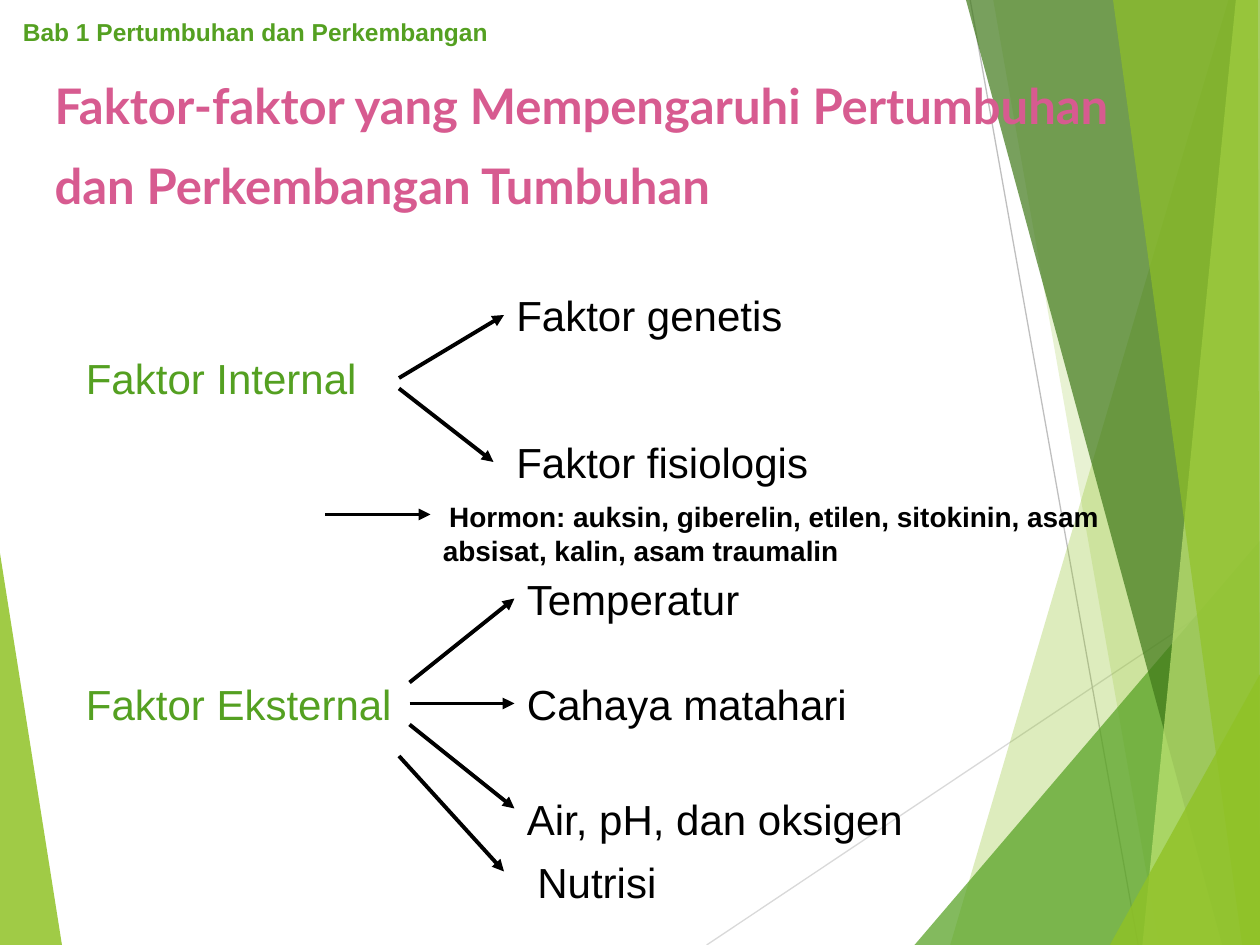
from lxml.etree import SubElement
from pptx import Presentation
from pptx.dml.color import RGBColor
from pptx.enum.shapes import MSO_CONNECTOR as CONNECTOR
from pptx.enum.text import MSO_ANCHOR as ANCHOR, MSO_AUTO_SIZE as AUTO_SIZE, PP_ALIGN as ALIGN
from pptx.oxml.ns import qn
from pptx.util import Pt

PX = 7620
WIDTH, HEIGHT = 1200, 900
GREEN, LIME, PINK, BLACK = "54A021", "90C226", "D75B90", "000000"
LEFT_SIDE = 1

LEFT_WEDGE = [(0, 527), (59, 900), (0, 900)]
THIN_LINES = [((673, 900), (1200, 548), "D9D9D9"), ((924, 0), (1084, 900), "BFBFBF")]
RIGHT_FACETS = [
    ([(1170, 0), (905, 900), (1200, 900), (1200, 0)], LIME, 30),
    ([(946, 0), (1104, 900), (1200, 900), (1200, 0)], LIME, 20),
    ([(871, 900), (1200, 515), (1200, 900)], GREEN, 72),
    ([(920, 0), (1164, 900), (1200, 900), (1200, 0)], "3F7819", 70),
    ([(1177, 0), (1088, 900), (1200, 900), (1200, 0)], "C0E474", 70),
    ([(1060, 0), (1183, 900), (1200, 900), (1198, 0)], LIME, 65),
    ([(1057, 900), (1200, 642), (1200, 900)], LIME, 80),
]
GROUPS = [("Faktor Internal", 70, 330, 300), ("Faktor Eksternal", 70, 640, 330)]
# Each factor: text, left, top, width, arrow start, arrow end (None joins the box side)
FACTORS = [
    ("Faktor genetis", 480, 270, 300, (380, 360), None),
    ("Faktor fisiologis", 480, 410, 360, (380, 370), (470, 440)),
    ("Temperatur", 490, 540, 240, (390, 650), None),
    ("Cahaya matahari", 490, 640, 330, (390, 670), None),
    ("Air, pH, dan oksigen", 490, 750, 400, (390, 690), (490, 770)),
    ("Nutrisi", 500, 810, 400, (380, 720), (480, 830)),
]


def rgb(value):
    """Turn a hex string into a colour."""
    return RGBColor.from_string(value)


def write(paragraph, text, size=24, color=BLACK, bold=False, font="Arial"):
    """Add a formatted run to a paragraph."""
    run = paragraph.add_run()
    run.text = text
    run.font.name, run.font.size, run.font.bold = font, Pt(size), bold
    run.font.color.rgb = rgb(color)


class SlideBuilder:
    """Hold the current slide and draw its elements in px."""

    def __init__(self, slide):
        """Keep the slide to draw on."""
        self.slide = slide
        self.shapes = slide.shapes

    def facet(self, points, color, opacity):
        """Draw a translucent polygon."""
        builder = self.shapes.build_freeform(*points[0], scale=PX)
        builder.add_line_segments(points[1:], close=True)
        shape = builder.convert_to_shape()
        shape.shadow.inherit = False
        shape.line.fill.background()
        shape.fill.solid()
        shape.fill.fore_color.rgb = rgb(color)
        color_element = shape._element.spPr.find(".//" + qn("a:srgbClr"))
        SubElement(color_element, qn("a:alpha"), val=str(opacity * 1000))

    def line(self, start, end, color=BLACK, width=2.25, arrow=False, target=None):
        """Draw a line, optionally with an arrowhead or joined to a box."""
        ends = [value * PX for value in (*start, *end)]
        connector = self.shapes.add_connector(CONNECTOR.STRAIGHT, *ends)
        connector.line.color.rgb = rgb(color)
        connector.line.width = Pt(width)
        if arrow:
            SubElement(connector.line._get_or_add_ln(), qn("a:tailEnd"), type="triangle")
        SubElement(connector._element.spPr, qn("a:effectLst"))
        if target is not None:
            connector.end_connect(target, LEFT_SIDE)

    def label(self, text, left, top, width, height=60, margin=0, indent=0, **style):
        """Add a wrapped text box."""
        box = self.shapes.add_textbox(left * PX, top * PX, width * PX, height * PX)
        frame = box.text_frame
        frame.word_wrap = True
        frame.auto_size = AUTO_SIZE.SHAPE_TO_FIT_TEXT
        paragraph = frame.paragraphs[0]
        if margin:
            properties = paragraph._p.get_or_add_pPr()
            properties.set("marL", str(margin * PX))
            properties.set("indent", str(indent * PX))
        write(paragraph, text, **style)
        return box

    def title(self, text, left, top, width, height):
        """Place the title in front of what is already drawn."""
        title = self.shapes.title
        title.left, title.top = left * PX, top * PX
        title.width, title.height = width * PX, height * PX
        title._element.getparent().append(title._element)
        frame = title.text_frame
        frame.word_wrap = True
        frame.auto_size = AUTO_SIZE.NONE
        frame.vertical_anchor = ANCHOR.TOP
        paragraph = frame.paragraphs[0]
        paragraph.alignment = ALIGN.LEFT
        write(paragraph, text, size=28, color=PINK, bold=True, font="Lato")
        write(paragraph, " ", size=40, color=LIME, font="Lato")


def main():
    """Build the slide and save it."""
    presentation = Presentation()
    presentation.slide_width, presentation.slide_height = WIDTH * PX, HEIGHT * PX
    slide = presentation.slides.add_slide(presentation.slide_layouts[5])
    builder = SlideBuilder(slide)

    builder.facet(LEFT_WEDGE, LIME, 85)
    for start, end, color in THIN_LINES:
        builder.line(start, end, color, width=0.75)
    for points, color, opacity in RIGHT_FACETS:
        builder.facet(points, color, opacity)

    builder.title("Faktor-faktor yang Mempengaruhi Pertumbuhan dan Perkembangan Tumbuhan",
                  40, 66, 1100, 204)
    builder.label("Bab 1 Pertumbuhan dan Perkembangan", 10, 10, 480, 41,
                  size=14, color=GREEN, bold=True)
    for text, left, top, width in GROUPS:
        builder.label(text, left, top, width, color=GREEN)
    for text, left, top, width, start, end in FACTORS:
        box = builder.label(text, left, top, width)
        builder.line(start, end or (left, top + 30), arrow=True,
                     target=None if end else box)
    builder.label("Hormon: auksin, giberelin, etilen, sitokinin, asam absisat, kalin, asam traumalin",
                  50, 470, 1030, 77, margin=360, indent=6, size=16, bold=True)
    builder.line((310, 490), (410, 490), arrow=True)

    presentation.save("out.pptx")


if __name__ == "__main__":
    main()
